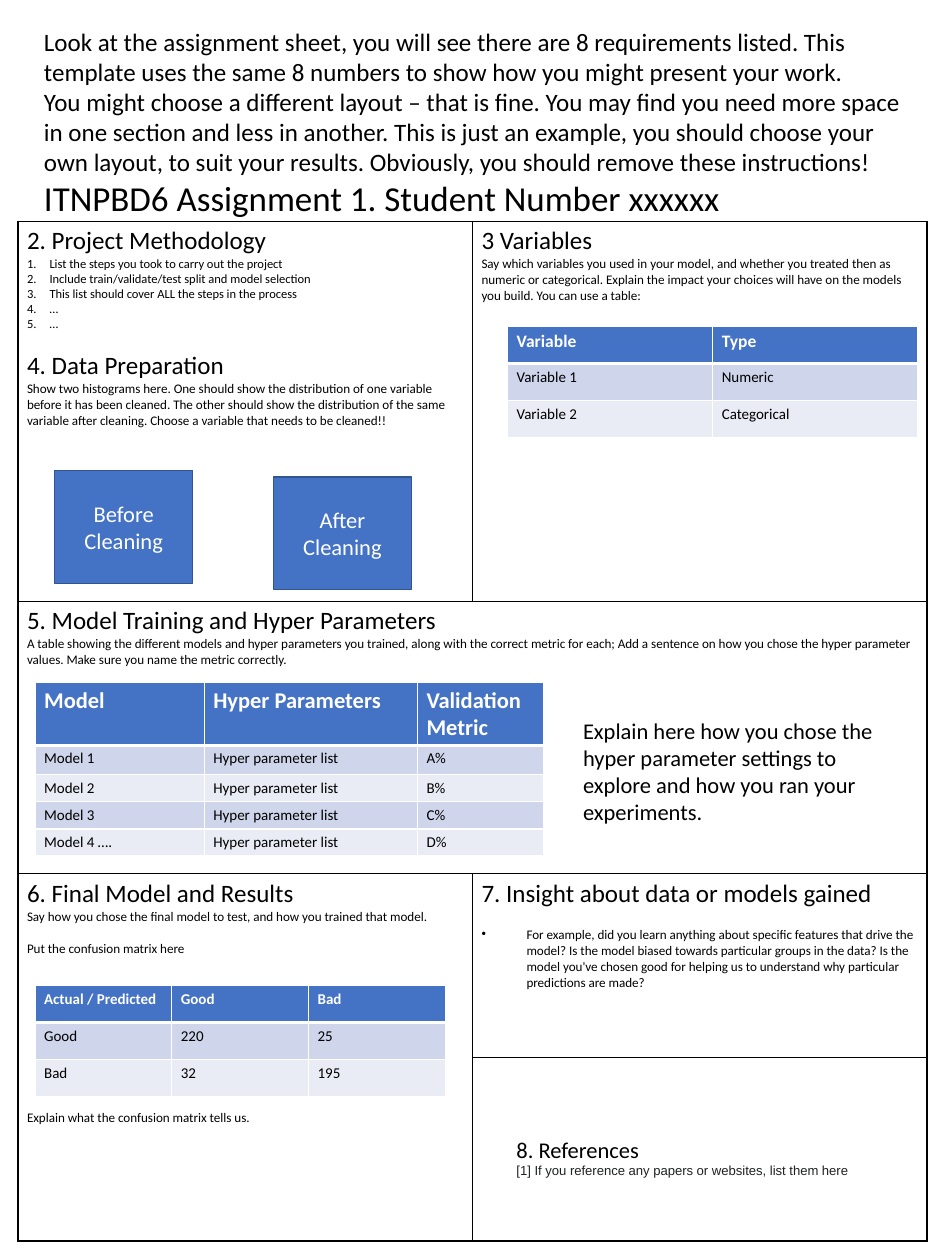
from pptx import Presentation
from pptx import util as u
from pptx.dml.color import RGBColor
from pptx.enum import shapes, text
from pptx.oxml import parse_xml
from pptx.oxml.ns import nsdecls

BLACK = RGBColor(0x00, 0x00, 0x00)
WHITE = RGBColor(0xFF, 0xFF, 0xFF)
BLUE = RGBColor(0x44, 0x72, 0xC4)
DARK_BLUE = RGBColor(0x32, 0x54, 0x91)
BANDS = (RGBColor(0xCF, 0xD5, 0xEA), RGBColor(0xE9, 0xEB, 0xF5))
REFERENCE_GREY = RGBColor(0x20, 0x21, 0x22)

HEADING = dict(size=20)
STEP = dict(size=10, bullet='<a:buAutoNum {} type="arabicPeriod"/>', indent=0.25)
BODY = dict(size=10.5)
POINT = dict(size=10.5, bullet='<a:buChar {} char="•"/>', indent=0.5, before=14.6)

# Poster sections: (row, column) -> paragraphs of (text, format)
SECTIONS = {
    (0, 0): [
        ("2. Project Methodology", HEADING),
        ("List the steps you took to carry out the project", STEP),
        ("Include train/validate/test split and model selection", STEP),
        ("This list should cover ALL the steps in the process", STEP),
        ("…", STEP),
        ("…", STEP),
        ("4. Data Preparation", dict(HEADING, before=14.6)),
        ("Show two histograms here. One should show the distribution of one variable "
         "before it has been cleaned. The other should show the distribution of the same "
         "variable after cleaning. Choose a variable that needs to be cleaned!!", BODY),
    ],
    (0, 1): [
        ("3 Variables", HEADING),
        ("Say which variables you used in your model, and whether you treated then as "
         "numeric or categorical. Explain the impact your choices will have on the models "
         "you build. You can use a table:", BODY),
    ],
    (1, 0): [
        ("5. Model Training and Hyper Parameters", HEADING),
        ("A table showing the different models and hyper parameters you trained, along with "
         "the correct metric for each; Add a sentence on how you chose the hyper parameter "
         "values. Make sure you name the metric correctly.", BODY),
    ],
    (2, 0): [
        ("6. Final Model and Results", HEADING),
        ("Say how you chose the final model to test, and how you trained that model.", BODY),
        ("Put the confusion matrix here", dict(BODY, before=12.8)),
        ("Explain what the confusion matrix tells us.", dict(BODY, before=122.6)),
    ],
    (2, 1): [
        ("7. Insight about data or models gained", HEADING),
        ("For example, did you learn anything about specific features that drive the model? "
         "Is the model biased towards particular groups in the data? Is the model you've "
         "chosen good for helping us to understand why particular predictions are made?", POINT),
    ],
}
SECTION_MERGES = [((1, 0), (1, 1)), ((2, 0), (3, 0))]

MODELS = [("Model", "Hyper Parameters", "Validation Metric")] + [
    (model, "Hyper parameter list", metric) for model, metric in
    (("Model 1", "A%"), ("Model 2", "B%"), ("Model 3", "C%"), ("Model 4 ….", "D%"))]
CONFUSION = [("Actual / Predicted", "Good", "Bad"), ("Good", "220", "25"), ("Bad", "32", "195")]
VARIABLES = [("Variable", "Type"), ("Variable 1", "Numeric"), ("Variable 2", "Categorical")]

TITLE = [
    ("Look at the assignment sheet, you will see there are 8 requirements listed. This "
     "template uses the same 8 numbers to show how you might present your work.", HEADING),
    ("You might choose a different layout – that is fine. You may find you need more space "
     "in one section and less in another. This is just an example, you should choose your "
     "own layout, to suit your results. Obviously, you should remove these instructions!",
     HEADING),
    ("ITNPBD6 Assignment 1. Student Number xxxxxx", dict(size=28)),
]
REFERENCES = [
    ("8. References", dict(size=18)),
    ("[1] If you reference any papers or websites, list them here",
     dict(size=10.5, font="Arial", color=REFERENCE_GREY)),
]
EXPLANATION = [("Explain here how you chose the hyper parameter settings to explore and how "
                "you ran your experiments.", dict(size=18))]
HISTOGRAMS = [("Before Cleaning", 0.61, 5.23), ("After Cleaning", 3.04, 5.3)]


def write(paragraph, words, size=12, font="Calibri", color=BLACK, bold=False,
          align=text.PP_ALIGN.LEFT, before=0, bullet=None, indent=0):
    paragraph.alignment = align
    paragraph.space_before = u.Pt(before)
    run = paragraph.add_run()
    run.text = words
    run.font.size, run.font.name, run.font.bold = u.Pt(size), font, bold
    run.font.color.rgb = color
    if bullet:
        properties = paragraph._p.get_or_add_pPr()
        properties.set("marL", str(u.Inches(indent)))
        properties.set("indent", str(-u.Inches(indent)))
        properties.append(parse_xml(bullet.format(nsdecls("a"))))


def write_all(frame, paragraphs):
    for index, (words, style) in enumerate(paragraphs):
        write(frame.add_paragraph() if index else frame.paragraphs[0], words, **style)


def set_borders(cell, color, top=1, bottom=1):
    for side, width in (("L", 1), ("R", 1), ("T", top), ("B", bottom)):
        cell._tc.get_or_add_tcPr().append(parse_xml(
            f'<a:ln{side} {nsdecls("a")} w="{u.Pt(width)}"><a:solidFill>'
            f'<a:srgbClr val="{color}"/></a:solidFill></a:ln{side}>'))


def add_grid(slide, left, top, widths, heights):
    table = slide.shapes.add_table(
        len(heights), len(widths), u.Inches(left), u.Inches(top),
        u.Inches(sum(widths)), u.Inches(sum(heights))).table
    table.first_row = table.horz_banding = False
    for column, width in zip(table.columns, widths):
        column.width = u.Inches(width)
    for row, height in zip(table.rows, heights):
        row.height = u.Inches(height)
    return table


def add_data_table(slide, rows, left, top, widths, heights, header_size):
    table = add_grid(slide, left, top, widths, heights)
    for r, row in enumerate(rows):
        for c, words in enumerate(row):
            cell = table.cell(r, c)
            set_borders(cell, WHITE, top=3 if r == 1 else 1, bottom=3 if r == 0 else 1)
            cell.fill.solid()
            cell.fill.fore_color.rgb = BANDS[(r - 1) % 2] if r else BLUE
            style = {} if r else dict(size=header_size, color=WHITE, bold=True)
            write(cell.text_frame.paragraphs[0], words, **style)


def add_text(slide, paragraphs, left, top, width, height):
    box = slide.shapes.add_textbox(*map(u.Inches, (left, top, width, height)))
    box.text_frame.word_wrap = True
    box.text_frame.auto_size = text.MSO_AUTO_SIZE.SHAPE_TO_FIT_TEXT
    write_all(box.text_frame, paragraphs)


def add_sections(slide):
    table = add_grid(slide, 0.2, 2.46, [5.05] * 2, [4.22, 3.03, 2.04, 2.04])
    for cell in table.iter_cells():
        set_borders(cell, BLACK)
        cell.fill.background()
    for first, last in SECTION_MERGES:
        table.cell(*first).merge(table.cell(*last))
    for position, paragraphs in SECTIONS.items():
        write_all(table.cell(*position).text_frame, paragraphs)


def add_histogram(slide, label, left, top):
    shape = slide.shapes.add_shape(
        shapes.MSO_SHAPE.RECTANGLE, *map(u.Inches, (left, top, 1.53, 1.25)))
    shape.shadow.inherit = False
    shape.fill.solid()
    shape.fill.fore_color.rgb = BLUE
    shape.line.color.rgb = DARK_BLUE
    shape.line.width = u.Pt(1)
    shape.text_frame.word_wrap = True
    shape.text_frame.vertical_anchor = text.MSO_ANCHOR.MIDDLE
    write(shape.text_frame.paragraphs[0], label, size=18, color=WHITE,
          align=text.PP_ALIGN.CENTER)


def main():
    presentation = Presentation()
    presentation.slide_width, presentation.slide_height = u.Inches(10.5), u.Inches(14)
    slide = presentation.slides.add_slide(presentation.slide_layouts[6])

    # Section frame and references
    add_sections(slide)
    add_text(slide, REFERENCES, 5.64, 12.57, 3.98, 0.88)

    # Data tables and title
    add_data_table(slide, MODELS, 0.39, 7.58, [1.88, 2.37, 1.4],
                   [0.7, 0.33, 0.3, 0.3, 0.3], 18)
    add_data_table(slide, CONFUSION, 0.39, 10.95, [1.52] * 3, [0.41] * 3, 12)
    add_text(slide, TITLE, 0.39, 0.24, 9.72, 2.26)
    add_data_table(slide, VARIABLES, 5.64, 3.63, [2.28] * 2, [0.41] * 3, 14)

    # Histogram placeholders and explanation
    for histogram in HISTOGRAMS:
        add_histogram(slide, *histogram)
    add_text(slide, EXPLANATION, 6.38, 7.92, 3.57, 1.31)
    presentation.save("out.pptx")


if __name__ == "__main__":
    main()
